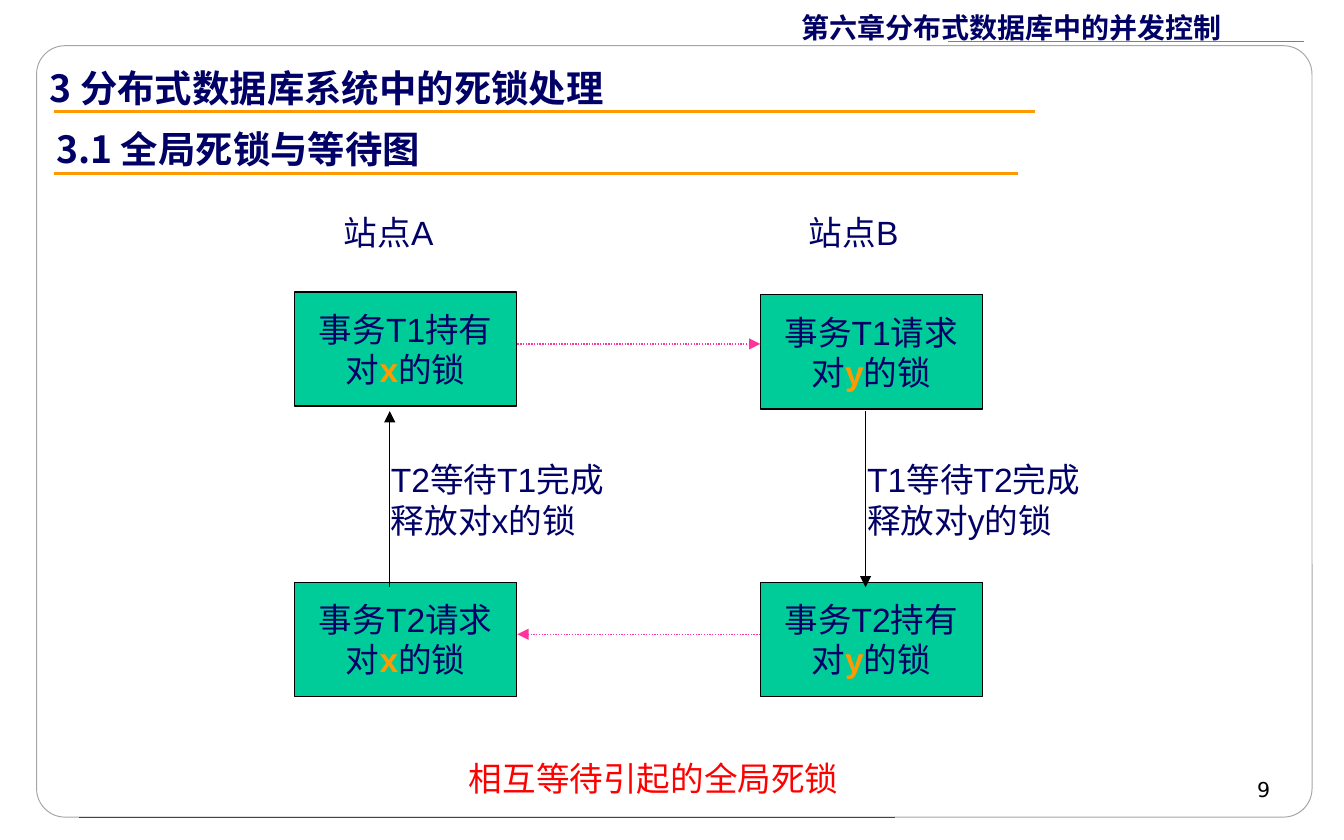
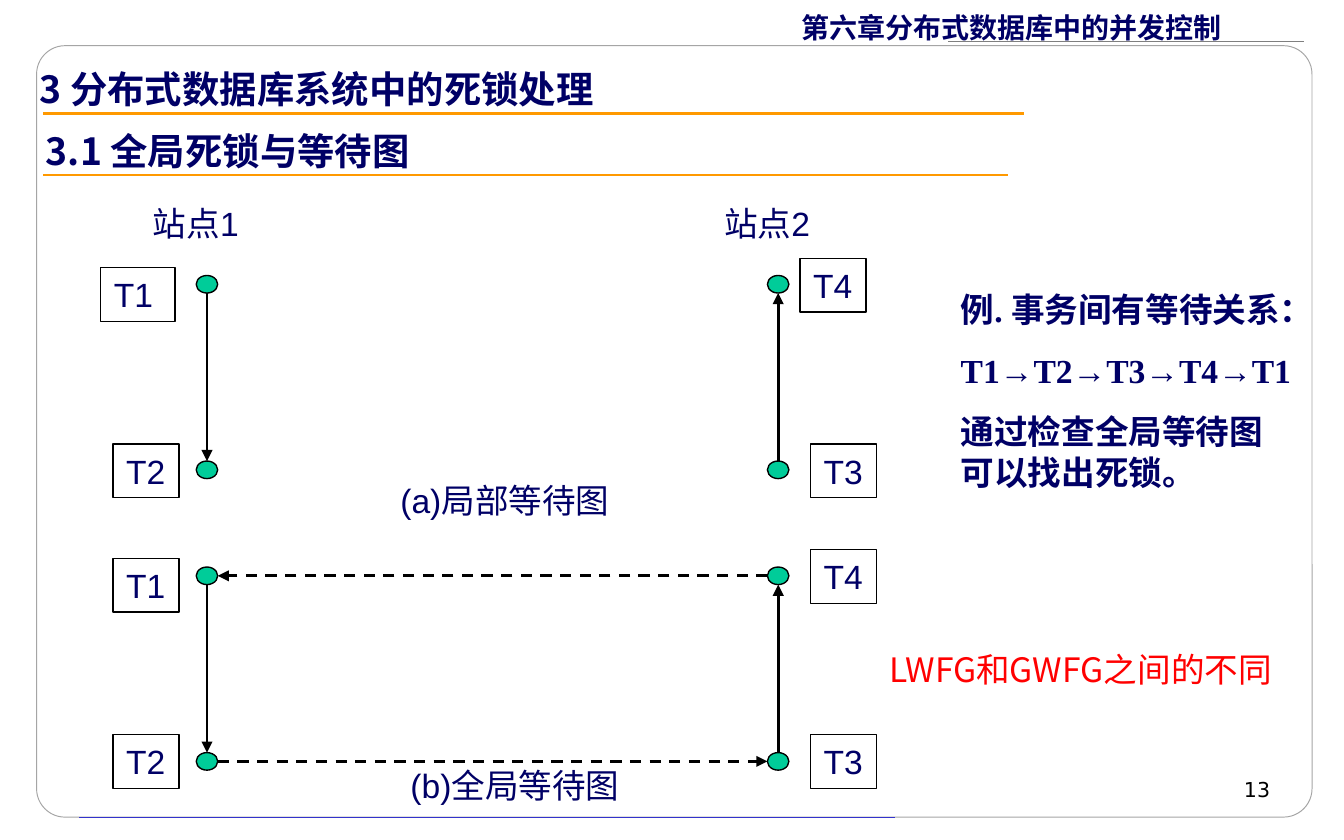
from lxml import etree
from pptx import Presentation
from pptx.dml.color import RGBColor
from pptx.enum.dml import MSO_LINE
from pptx.enum.shapes import MSO_CONNECTOR, MSO_SHAPE
from pptx.enum.text import MSO_ANCHOR, MSO_AUTO_SIZE, PP_ALIGN
from pptx.oxml.ns import qn
from pptx.util import Pt

STRAIGHT = MSO_CONNECTOR.STRAIGHT
RECTANGLE, OVAL, ROUNDED = MSO_SHAPE.RECTANGLE, MSO_SHAPE.OVAL, MSO_SHAPE.ROUNDED_RECTANGLE
DOTTED, DASHED = MSO_LINE.ROUND_DOT, MSO_LINE.DASH
LEFT, CENTER, RIGHT = PP_ALIGN.LEFT, PP_ALIGN.CENTER, PP_ALIGN.RIGHT
TOP, MIDDLE = MSO_ANCHOR.TOP, MSO_ANCHOR.MIDDLE
NO_RESIZE = MSO_AUTO_SIZE.NONE

color = RGBColor.from_string
NAVY, ORANGE, GREEN, PINK = "000066", "FF9900", "00CC99", "FF3399"
RED, BLACK, WHITE = "FF0000", "000000", "FFFFFF"
CJK_FONT = "Noto Sans CJK SC"


def write(box, lines, size=18, ink=NAVY, font="Arial", bold=False,
          align=LEFT, anchor=TOP, wrap=False, gap=0):
    """Fill a box; each line is a string or a list of strings, one per run."""
    frame = box.text_frame
    frame.word_wrap = wrap
    frame.auto_size = NO_RESIZE
    frame.vertical_anchor = anchor
    for number, line in enumerate(lines):
        paragraph = frame.paragraphs[0] if number == 0 else frame.add_paragraph()
        paragraph.alignment = align
        if number:
            paragraph.space_before = Pt(gap)
        for text in [line] if isinstance(line, str) else line:
            span = paragraph.add_run()
            span.text = text
            span.font.size = Pt(size)
            span.font.bold = bold
            span.font.name = font
            span.font.color.rgb = color(ink)
            etree.SubElement(span.font._element, qn("a:ea"), typeface=CJK_FONT)


def draw_line(page, start, end, ink=BLACK, width=0.75, dash=None, arrow=False):
    line = page.shapes.add_connector(STRAIGHT, *map(Pt, start + end))
    line.line.color.rgb = color(ink)
    line.line.width = Pt(width)
    if dash:
        line.line.dash_style = dash
    if arrow:
        etree.SubElement(line.line._get_or_add_ln(), qn("a:tailEnd"), type="triangle")
    etree.SubElement(line._element.spPr, qn("a:effectLst"))


deck = Presentation()
deck.slide_width, deck.slide_height = Pt(720), Pt(450)
title_only = deck.slide_layouts[5]

# Frame, chapter header, headings and page number
# (page number, heading left, section left, rule left, rule top)
pages = []
for number, heading_left, section_left, rule_left, rule_top in [
    ("9", 19.4, 23, 28.8, 59.8),
    ("13", 14, 17.5, 23.2, 60.7),
]:
    page = deck.slides.add_slide(title_only)
    pages.append(page)

    frame = page.shapes.add_shape(ROUNDED, Pt(19.6), Pt(24.5), Pt(683.3), Pt(413.3))
    frame.adjustments[0] = 0.037
    frame.shadow.inherit = False
    frame.fill.solid()
    frame.fill.fore_color.rgb = color(WHITE)
    white = frame._element.spPr.find(".//" + qn("a:srgbClr"))
    etree.SubElement(white, qn("a:alpha"), val="85000")
    frame.line.color.rgb = color("A5A5A5")
    frame.line.width = Pt(0.5)
    draw_line(page, (42.5, 437.8), (479.5, 437.8), "3333CC", 0.25)

    chapter = page.shapes.add_textbox(Pt(422.4), Pt(2.2), Pt(272.2), Pt(24.5))
    write(chapter, [["第六章", "分布式数据库中的并发控制"]], 15, font=CJK_FONT, bold=True, wrap=True)
    chapter.text_frame.paragraphs[0].runs[1].font.name = "Times New Roman"
    draw_line(page, (698.4, 22.3), (507.6, 22.3), "7F7F7F")

    page_number = page.shapes.add_textbox(Pt(507.6), Pt(412.6), Pt(180), Pt(16.6))
    write(page_number, [number], 11, BLACK, "DejaVu Sans", align=RIGHT, wrap=True)

    heading = page.shapes.title
    page.shapes._spTree.append(heading._element)
    heading.left, heading.top = Pt(heading_left), Pt(rule_top - 28.6)
    heading.width, heading.height = Pt(575.3), Pt(31.7)
    section = page.shapes.add_textbox(Pt(section_left), Pt(rule_top + 4.4), Pt(575.3), Pt(31.7))
    for box, text in [(heading, "3 分布式数据库系统中的死锁处理"), (section, "3.1 全局死锁与等待图")]:
        write(box, [text], 20, font=CJK_FONT, bold=True, wrap=True)
    for top, length in [(rule_top, 525.6), (rule_top + 33.1, 516.6)]:
        draw_line(page, (rule_left, top), (rule_left + length, top), ORANGE, 1.5)

deadlock_page, graph_page = pages

# Deadlock: transactions at two sites
for left, top, action, item in [
    (157.9, 156.4, "事务T1持有", "x"),
    (157.9, 311.9, "事务T2请求", "x"),
    (407.3, 311.9, "事务T2持有", "y"),
    (407.3, 157.9, "事务T1请求", "y"),
]:
    transaction = deadlock_page.shapes.add_shape(RECTANGLE, Pt(left), Pt(top), Pt(119), Pt(61.2))
    transaction.shadow.inherit = False
    transaction.fill.solid()
    transaction.fill.fore_color.rgb = color(GREEN)
    transaction.line.color.rgb = color(BLACK)
    transaction.line.width = Pt(0.75)
    write(transaction, [action, ["对", item, "的锁"]], align=CENTER, anchor=MIDDLE)
    item_span = transaction.text_frame.paragraphs[1].runs[1]
    item_span.font.bold = True
    item_span.font.color.rgb = color(ORANGE)

# Deadlock: requests between sites and waits within a site
for start, end, ink, dash in [
    ((277.2, 184.3), (407.3, 184.3), PINK, DOTTED),
    ((463.7, 220.3), (463.7, 314.6), BLACK, None),
    ((407.3, 339.8), (277.2, 339.8), PINK, DOTTED),
    ((208.8, 314.6), (208.8, 220.3), BLACK, None),
]:
    draw_line(deadlock_page, start, end, ink, dash=dash, arrow=True)

# Deadlock: labels
for left, top, width, height, lines, ink in [
    (177.1, 110.2, 66.2, 28.8, ["站点A"], NAVY),
    (426.3, 110.2, 66.2, 28.8, ["站点B"], NAVY),
    (202.3, 242.6, 141.1, 50.4, ["T2等待T1完成", "释放对x的锁"], NAVY),
    (457.5, 242.6, 141.1, 50.4, ["T1等待T2完成", "释放对y的锁"], NAVY),
    (244.1, 402.5, 212.4, 28.8, ["相互等待引起的全局死锁"], RED),
]:
    label = deadlock_page.shapes.add_textbox(Pt(left), Pt(top), Pt(width), Pt(height))
    write(label, lines, ink=ink)

# Wait-for graphs: local above, global below
NODE_WIDTH, NODE_HEIGHT, NODE_DROP = 11.5, 9.4, 99.4
LEFT_X, RIGHT_X = 110.9, 416.9
LOCAL_TOP, GLOBAL_TOP = 147.6, 303.8
for graph_top in (LOCAL_TOP, GLOBAL_TOP):
    for center in (LEFT_X, RIGHT_X):
        for top in (graph_top, graph_top + NODE_DROP):
            node = graph_page.shapes.add_shape(
                OVAL, Pt(center - NODE_WIDTH / 2), Pt(top), Pt(NODE_WIDTH), Pt(NODE_HEIGHT))
            node.shadow.inherit = False
            node.fill.solid()
            node.fill.fore_color.rgb = color(GREEN)
            node.line.color.rgb = color(BLACK)
            node.line.width = Pt(0.75)
    upper, lower = graph_top + NODE_HEIGHT, graph_top + NODE_DROP
    draw_line(graph_page, (LEFT_X, upper), (LEFT_X, lower), width=1.5, arrow=True)
    draw_line(graph_page, (RIGHT_X, lower), (RIGHT_X, upper), width=1.5, arrow=True)

inner_left, inner_right = LEFT_X + NODE_WIDTH / 2, RIGHT_X - NODE_WIDTH / 2
upper = GLOBAL_TOP + NODE_HEIGHT / 2
lower = upper + NODE_DROP
draw_line(graph_page, (inner_right, upper), (inner_left, upper), width=1.5, dash=DASHED, arrow=True)
draw_line(graph_page, (inner_left, lower), (inner_right, lower), width=1.5, dash=DASHED, arrow=True)

# Wait-for graphs: framed node names
for left, top, width, name in [
    (54, 143.4, 39.8, "T1"), (60.5, 237.8, 35.5, "T2"),
    (60.5, 299.2, 35.5, "T1"), (60.5, 393.5, 35.5, "T2"),
    (428.5, 138.4, 35.5, "T4"), (434.2, 237.8, 35.5, "T3"),
    (434.2, 294.4, 35.5, "T4"), (434.2, 393.5, 35.5, "T3"),
]:
    name_box = graph_page.shapes.add_textbox(Pt(left), Pt(top), Pt(width), Pt(28.8))
    name_box.line.color.rgb = color(BLACK)
    name_box.line.width = Pt(0.75)
    write(name_box, [name], wrap=name_box.width > Pt(36))

# Wait-for graphs: captions, remark and example
for left, top, width, text, ink, font in [
    (207.4, 253.4, 147.6, "(a)局部等待图", NAVY, "Arial"),
    (212.8, 406.1, 136.1, "(b)全局等待图", NAVY, "Arial"),
    (74.9, 105.4, 64.8, "站点1", NAVY, "Arial"),
    (380.9, 105.4, 64.8, "站点2", NAVY, "Arial"),
    (469.4, 344.2, 236.2, "LWFG和GWFG之间的不同", RED, CJK_FONT),
]:
    caption = graph_page.shapes.add_textbox(Pt(left), Pt(top), Pt(width), Pt(28.8))
    write(caption, [text], ink=ink, font=font, wrap=text.startswith("("))

example = graph_page.shapes.add_textbox(Pt(507.6), Pt(151.2), Pt(193), Pt(138.2))
write(example, ["例. 事务间有等待关系：", "T1→T2→T3→T4→T1", "通过检查全局等待图可以找出死锁。"],
      font="Times New Roman", bold=True, wrap=True, gap=11.2)

deck.save("out.pptx")
